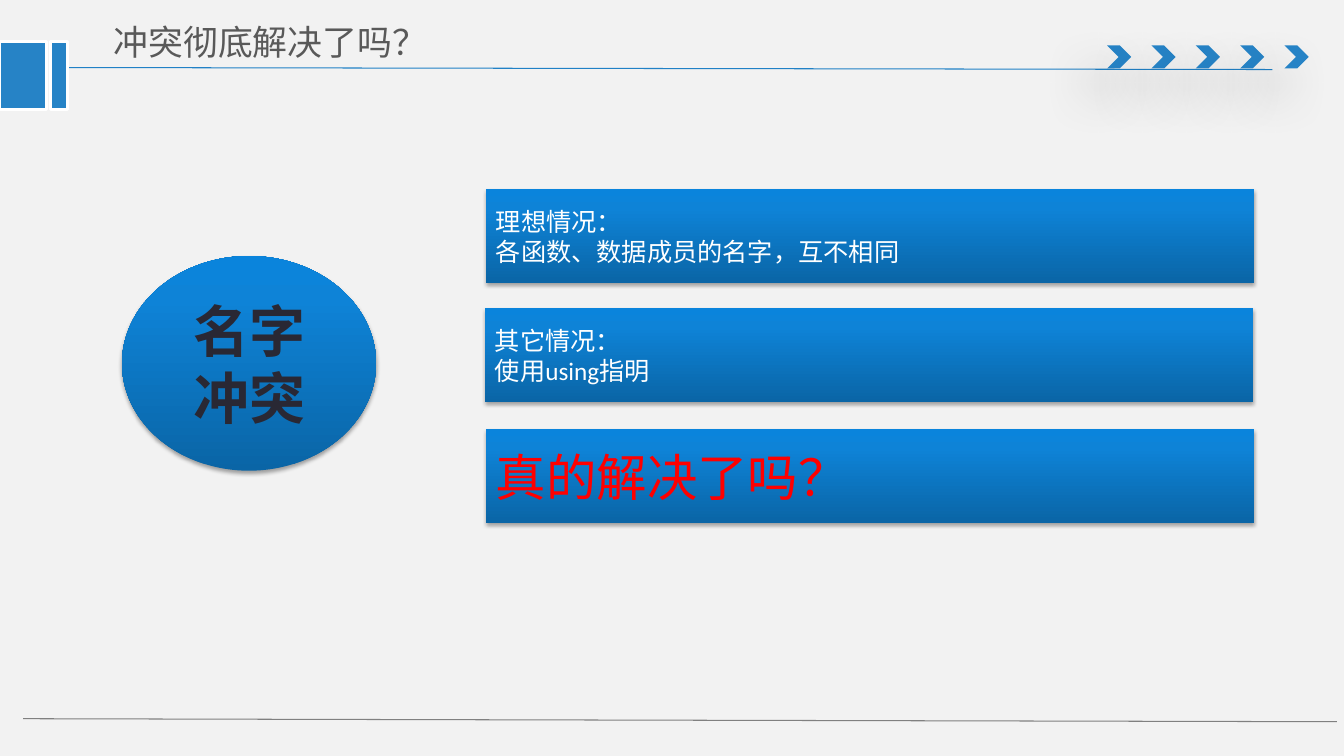
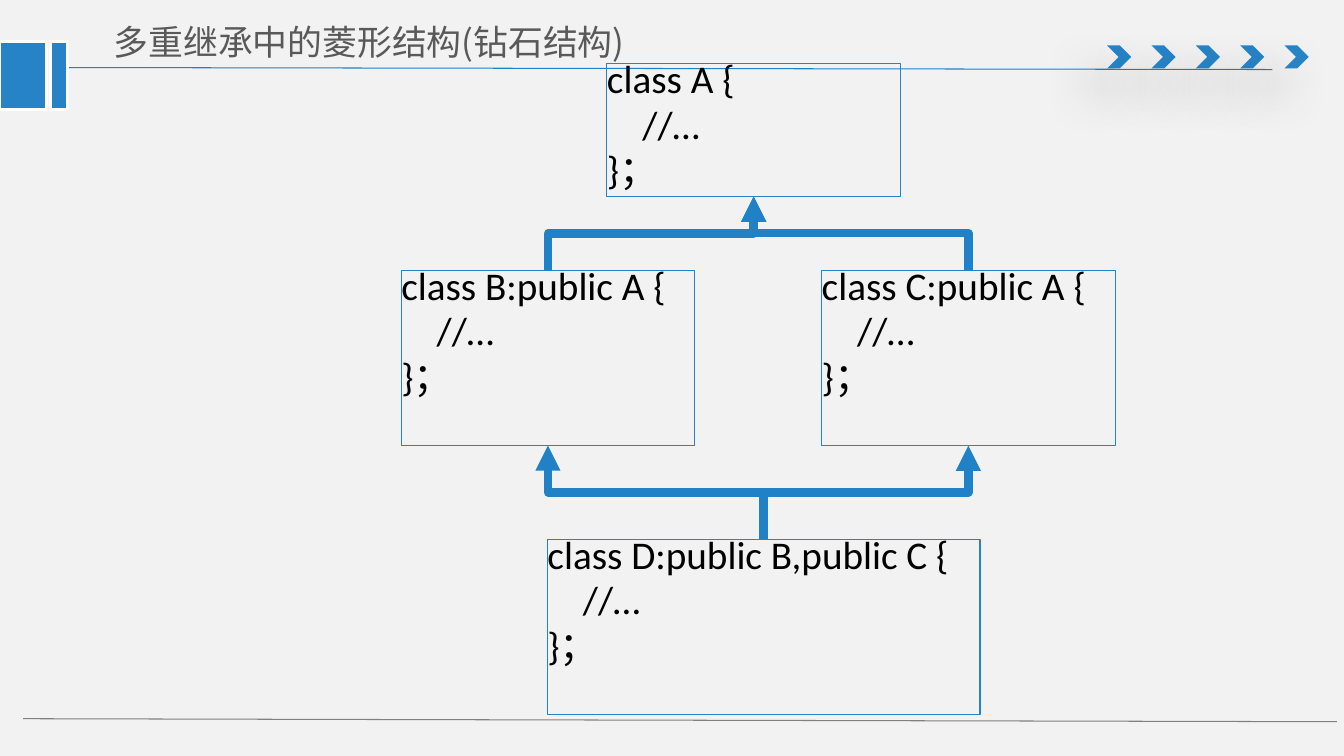
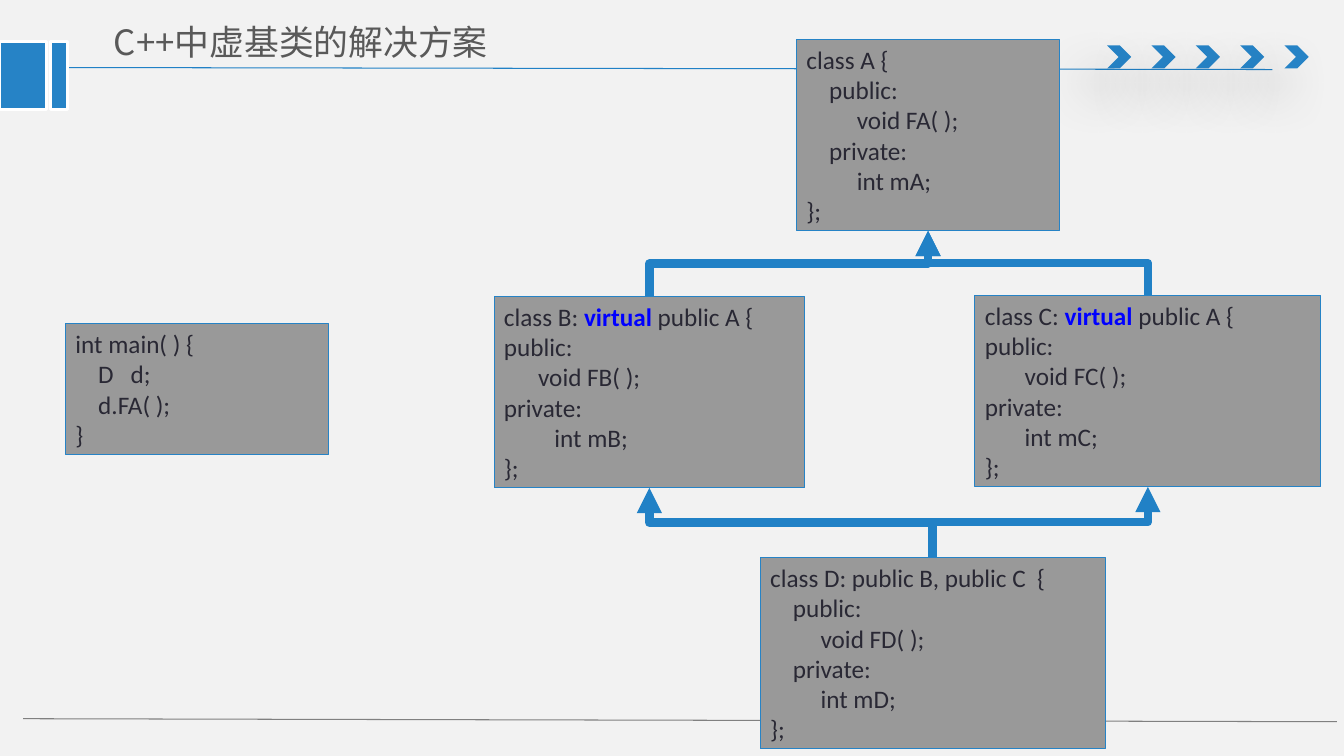
"""Build three slides on name clashes and diamond inheritance in C++."""
from dataclasses import dataclass

from lxml import etree
from pptx import Presentation
from pptx.dml.color import RGBColor
from pptx.enum.shapes import MSO_CONNECTOR, MSO_SHAPE
from pptx.enum.text import MSO_ANCHOR, MSO_AUTO_SIZE, PP_ALIGN
from pptx.oxml.ns import qn
from pptx.presentation import Presentation as Deck
from pptx.shapes.autoshape import Shape
from pptx.shapes.connector import Connector
from pptx.slide import Slide, SlideLayout
from pptx.text.text import TextFrame
from pptx.util import Inches, Pt

RECT, OVAL, CHEVRON = MSO_SHAPE.RECTANGLE, MSO_SHAPE.OVAL, MSO_SHAPE.CHEVRON
STRAIGHT, ELBOW = MSO_CONNECTOR.STRAIGHT, MSO_CONNECTOR.ELBOW
TOP, MIDDLE = MSO_ANCHOR.TOP, MSO_ANCHOR.MIDDLE
LEFT, CENTER = PP_ALIGN.LEFT, PP_ALIGN.CENTER
NO_FIT = MSO_AUTO_SIZE.NONE
TITLE_ONLY = 5


@dataclass(frozen=True)
class Theme:
    """Colours, fonts and type sizes of the deck."""
    page: str = "F2F2F2"
    blue: str = "2683C6"
    wire: str = "2181C6"
    rule: str = "808080"
    white: str = "FFFFFF"
    black: str = "000000"
    head: str = "595959"
    ink: str = "292834"
    red: str = "FF0000"
    key: str = "0000FF"
    gray: str = "999999"
    glow: tuple[tuple[int, str], ...] = ((0, "0A65A6"), (80, "0E83D7"), (100, "0A84DC"))
    latin: str = "Calibri"
    asian: str = "Noto Sans CJK SC"
    title: float = 24.9
    badge: float = 40
    shout: float = 36
    sketch: float = 28
    body: float = 18


@dataclass(frozen=True)
class Box:
    """A place on the slide, in inches."""
    x: float
    y: float
    w: float
    h: float

    @property
    def head(self) -> tuple[float, float]:
        """Give the middle of the top edge."""
        return self.x + self.w / 2, self.y

    @property
    def foot(self) -> tuple[float, float]:
        """Give the middle of the bottom edge."""
        return self.x + self.w / 2, self.y + self.h


@dataclass(frozen=True)
class Span:
    """A run of text, with its own colour and weight if given."""
    text: str
    color: str = ""
    bold: bool = False


@dataclass(frozen=True)
class Style:
    """The look of the text in a box."""
    size: float
    color: str
    font: str = T.latin if (T := Theme()) else ""
    bold: bool = False
    align: PP_ALIGN = LEFT
    anchor: MSO_ANCHOR = TOP
    inset: tuple[float, float] = (0.1, 0.05)
    pitch: float = 1.0
    gap: float = 0


@dataclass(frozen=True)
class Shade:
    """An outer shadow: strength in percent, points and degrees."""
    alpha: float
    blur: float
    dist: float
    angle: float


Para = tuple[Span, ...]

T = Theme()
TITLE = Style(T.title, T.head, T.asian, anchor=MIDDLE, inset=(0.14, 0.07))
BADGE = Style(T.badge, T.ink, T.asian, bold=True, align=CENTER, anchor=MIDDLE)
BAND = Style(T.body, T.white, anchor=MIDDLE)
SHOUT = Style(T.shout, T.red, anchor=MIDDLE)
SKETCH = Style(T.sketch, T.black, inset=(0, 0), pitch=0.8, gap=5.6)
CODE = Style(T.body, T.ink)
SOFT = Shade(35, 3.1, 1.8, 90)
WIDE = Shade(38, 36, 24, 130)


def rgb(code: str) -> RGBColor:
    """Turn a hex code into a colour."""
    return RGBColor.from_string(code)


def node(root: etree.ElementBase, tag: str, **attrs: object) -> etree.ElementBase:
    """Append one XML element."""
    return etree.SubElement(root, qn(tag), {k: str(v) for k, v in attrs.items()})


def plain(*texts: str) -> tuple[Para, ...]:
    """Make paragraphs of one run each."""
    return tuple((Span(text),) for text in texts)


def write(shape: Shape, paras: tuple[Para, ...], style: Style) -> None:
    """Fill a shape with text, run by run."""
    frame: TextFrame = shape.text_frame
    frame.word_wrap, frame.auto_size = True, NO_FIT
    frame.vertical_anchor = style.anchor
    side, edge = map(Inches, style.inset)
    frame.margin_left = frame.margin_right = side
    frame.margin_top = frame.margin_bottom = edge
    for i, spans in enumerate(paras):
        para = frame.add_paragraph() if i else frame.paragraphs[0]
        para.alignment, para.line_spacing = style.align, style.pitch
        para.space_before = Pt(style.gap if i else 0)
        for span in spans:
            for j, line in enumerate(span.text.split("\n")):
                if j:
                    para.add_line_break()
                run = para.add_run()
                run.text = line
                run.font.name, run.font.size = style.font, Pt(style.size)
                run.font.bold = span.bold or style.bold
                run.font.color.rgb = rgb(span.color or style.color)
    for props in shape.element.iter(qn("a:rPr")):
        node(props, "a:ea", typeface=T.asian)


def draw(slide: Slide, kind: MSO_SHAPE, box: Box, fill: str = "", edge: str = "",
         width: float = 0.75, shade: Shade | None = None) -> Shape:
    """Add a preset shape."""
    shape = slide.shapes.add_shape(kind, *map(Inches, (box.x, box.y, box.w, box.h)))
    shape.shadow.inherit = False
    if fill:
        shape.fill.solid()
        shape.fill.fore_color.rgb = rgb(fill)
    else:
        shape.fill.background()
    if edge:
        shape.line.color.rgb, shape.line.width = rgb(edge), Pt(width)
    else:
        shape.line.fill.background()
    if shade:
        cast = node(shape.element.spPr.find(qn("a:effectLst")), "a:outerShdw",
                    blurRad=Pt(shade.blur), dist=Pt(shade.dist),
                    dir=int(shade.angle * 60000), rotWithShape=0)
        tint = node(cast, "a:srgbClr", val=T.black)
        node(tint, "a:alpha", val=int(shade.alpha * 1000))
    return shape


def glossy(slide: Slide, kind: MSO_SHAPE, box: Box, text: str, style: Style) -> None:
    """Add a shape with the blue gradient and text."""
    shape = draw(slide, kind, box, shade=SOFT)
    shape.fill.gradient()
    shape.fill.gradient_angle = 90
    stops = next(shape.element.iter(qn("a:gsLst")))
    stops.clear()
    for pos, color in T.glow:
        node(node(stops, "a:gs", pos=pos * 1000), "a:srgbClr", val=color)
    write(shape, plain(text), style)


def panel(slide: Slide, box: Box, paras: tuple[Para, ...], style: Style,
          fill: str = "") -> None:
    """Add a framed box of code."""
    write(draw(slide, RECT, box, fill, T.blue), paras, style)


def wire(slide: Slide, kind: MSO_CONNECTOR, ends: tuple[float, ...], color: str,
         width: float) -> Connector:
    """Add a connector without shadow."""
    line = slide.shapes.add_connector(kind, *map(Inches, ends))
    line.line.color.rgb, line.line.width = rgb(color), Pt(width)
    node(line.element.spPr, "a:effectLst")
    return line


def arrow(slide: Slide, low: Box, high: Box) -> None:
    """Join the top of one box to the foot of a higher one."""
    (x1, y1), (x2, y2) = low.head, high.foot
    rise, run = y1 - y2, abs(x2 - x1)
    left, top = (x1 + x2 - rise) / 2, (y1 + y2 - run) / 2
    line = wire(slide, ELBOW, (left, top, left + rise, top + run), T.wire, 6)
    turn = line.element.spPr.find(qn("a:xfrm"))
    turn.set("rot", "16200000")
    if x2 < x1:
        turn.set("flipV", "1")
    node(line.element.spPr.find(qn("a:ln")), "a:tailEnd", type="triangle")


def diamond(slide: Slide, a: Box, b: Box, c: Box, d: Box) -> None:
    """Draw the four arrows of a diamond."""
    for low, high in ((b, a), (c, a), (d, b), (d, c)):
        arrow(slide, low, high)


def dress(layout: SlideLayout, slide: Slide) -> None:
    """Draw the shared bands once and move them to the layout."""
    layout.background.fill.solid()
    layout.background.fill.fore_color.rgb = rgb(T.page)
    for holder in list(layout.placeholders)[1:]:
        holder.element.getparent().remove(holder.element)
    parts = [wire(slide, STRAIGHT, (0.53, 0.67, 12.62, 0.69), T.wire, 0.75)]
    parts += [draw(slide, CHEVRON, Box(10.98 + i * 0.44, 0.45, 0.24, 0.23), T.blue,
                   shade=WIDE) for i in range(5)]
    parts.append(wire(slide, STRAIGHT, (0.23, 7.13, 13.26, 7.16), T.rule, 0.75))
    parts += [draw(slide, RECT, Box(x, 0.41, w, 0.68), T.blue, T.white, 2)
              for x, w in ((0, 0.46), (0.5, 0.17))]
    for part in parts:
        layout.shapes.element.append(part.element)


def start(deck: Deck, text: str, width: float = 4.63) -> Slide:
    """Add a slide with its title."""
    slide = deck.slides.add_slide(deck.slide_layouts[TITLE_ONLY])
    title = slide.shapes.title
    title.left, title.top = Inches(0.99), Inches(0.14)
    title.width, title.height = Inches(width), Inches(0.55)
    write(title, plain(text), TITLE)
    return slide


def clash(slide: Slide) -> None:
    """Show the name clash and its cases."""
    glossy(slide, OVAL, Box(1.21, 2.54, 2.52, 2.13), "名字冲突", BADGE)
    for x, y, text, style in (
        (4.82, 1.88, "理想情况：\n各函数、数据成员的名字，互不相同", BAND),
        (4.81, 3.06, "其它情况：\n使用using指明", BAND),
        (4.82, 4.26, "真的解决了吗？", SHOUT),
    ):
        glossy(slide, RECT, Box(x, y, 7.62, 0.93), text, style)


def shape_up(slide: Slide) -> None:
    """Show the diamond of four classes."""
    boxes = (Box(6.02, 0.63, 2.91, 1.32), Box(3.98, 2.68, 2.91, 1.74),
             Box(8.15, 2.68, 2.91, 1.74), Box(5.43, 5.35, 4.29, 1.74))
    heads = ("A", "B:public A", "C:public A", "D:public B,public C")
    for box, head in zip(boxes, heads):
        panel(slide, box, plain(f"class {head} {{", "    //…", "}；"), SKETCH)
    diamond(slide, *boxes)


def solve(slide: Slide) -> None:
    """Show the diamond with virtual bases."""
    a, b = Box(7.9, 0.39, 2.61, 1.9), Box(4.9, 2.94, 3.08, 1.9)
    c, d = Box(9.67, 2.93, 3.43, 1.9), Box(7.54, 5.53, 3.42, 1.9)
    diamond(slide, a, b, c, d)
    for box, name, pad, tab in ((c, "C", " " * 7, " " * 7), (b, "B", " " * 6, "\t")):
        tail = (f" public A {{\npublic:\n{pad}void F{name}( );\n"
                f"private:\n{tab}int m{name};\n}};")
        spans = (Span(f"class {name}: "), Span("virtual", T.key, True), Span(tail))
        panel(slide, box, (spans,), CODE, T.gray)
    for box, name, base in ((a, "A", " "), (d, "D", ": public B, public C  ")):
        text = (f"class {name}{base}{{\n    public:\n\tvoid F{name}( );\n"
                f"    private:\n\tint m{name};\n}};")
        panel(slide, box, plain(text), CODE, T.gray)
    panel(slide, Box(0.65, 3.21, 2.61, 1.3),
          plain("int main( ) {", "    D   d;", "    d.FA( );\n}"), CODE, T.gray)


def main() -> None:
    """Build and save the deck."""
    deck = Presentation()
    deck.slide_width, deck.slide_height = Inches(13.33), Inches(7.5)
    first = start(deck, "冲突彻底解决了吗？")
    dress(deck.slide_layouts[TITLE_ONLY], first)
    clash(first)
    shape_up(start(deck, "多重继承中的菱形结构(钻石结构)", 5.9))
    solve(start(deck, "C++中虚基类的解决方案"))
    deck.save("out.pptx")


if __name__ == "__main__":
    main()
